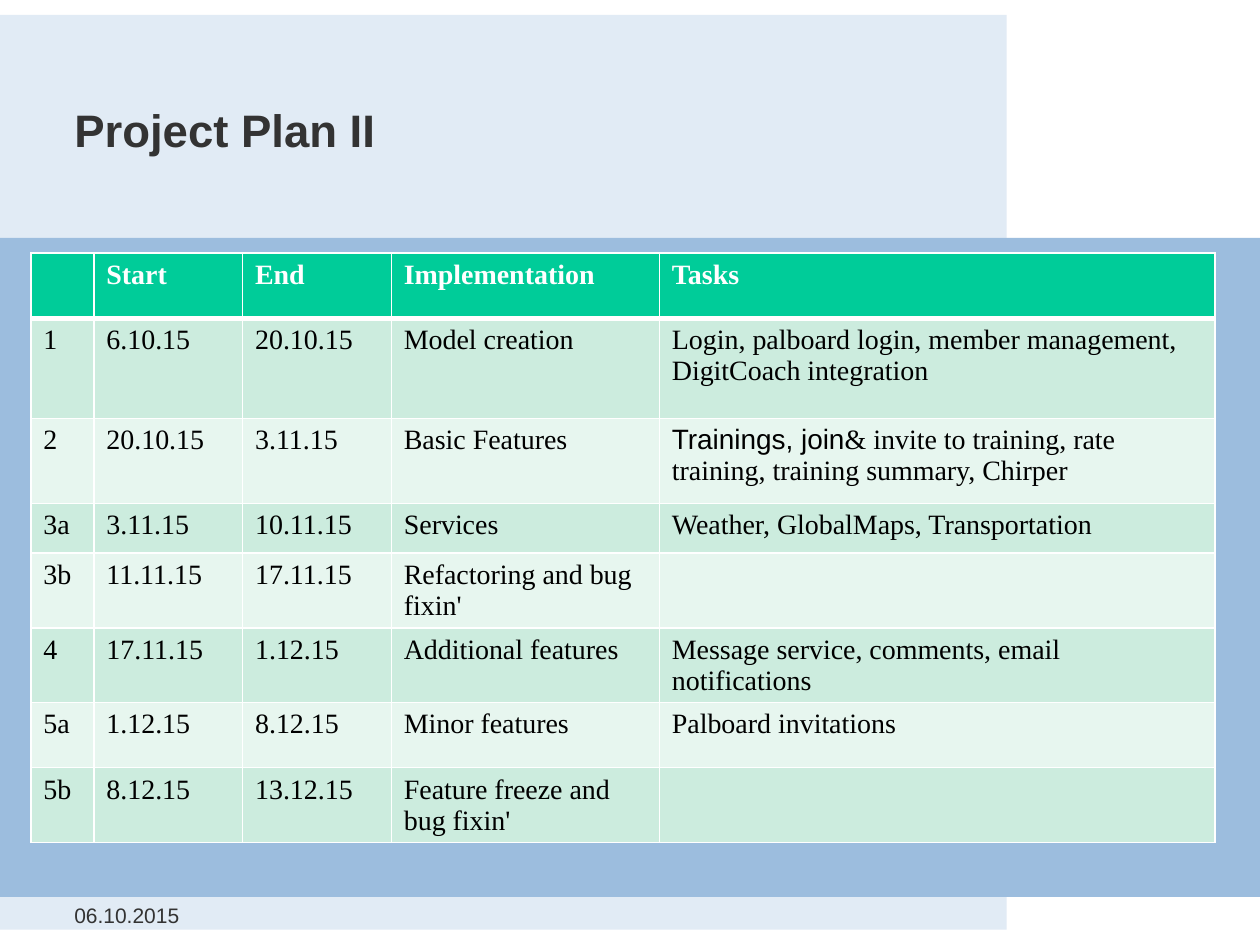
from dataclasses import dataclass

from lxml import etree
from pptx import Presentation
from pptx.dml.color import RGBColor
from pptx.enum import shapes, text
from pptx.oxml import ns
from pptx.util import Pt

SERIF, SANS = "Times New Roman", "Arial"
WHITE, BLACK, CHARCOAL = "FFFFFF", "000000", "333333"
HEADER_GREEN, ROW_GREENS = "00CC99", ("CCECDE", "E7F6EF")


@dataclass(frozen=True)
class Band:
    left: float
    top: float
    width: float
    height: float
    fill: str


@dataclass(frozen=True)
class Run:
    words: str
    size: float = 16
    font: str = SERIF
    color: str = BLACK
    bold: bool = False


@dataclass(frozen=True)
class Phase:
    height: float
    number: str
    start: str
    end: str
    implementation: str
    tasks: tuple[Run, ...] = ()


def rgb(value: str) -> RGBColor:
    return RGBColor.from_string(value)


def add_run(paragraph, content: Run) -> None:
    run = paragraph.add_run()
    run.text = content.words
    run.font.size = Pt(content.size)
    run.font.name = content.font
    run.font.bold = content.bold
    run.font.color.rgb = rgb(content.color)


def add_band(slide, band: Band) -> None:
    shape = slide.shapes.add_shape(
        shapes.MSO_SHAPE.RECTANGLE,
        Pt(band.left), Pt(band.top), Pt(band.width), Pt(band.height))
    shape.shadow.inherit = False
    shape.fill.solid()
    shape.fill.fore_color.rgb = rgb(band.fill)
    shape.line.fill.background()


def set_line(shape, content: Run, spacing: float = 1.0) -> None:
    frame = shape.text_frame
    frame.margin_left = frame.margin_right = 0
    frame.margin_top = frame.margin_bottom = 0
    frame.word_wrap = True
    frame.auto_size = text.MSO_AUTO_SIZE.NONE
    frame.vertical_anchor = text.MSO_ANCHOR.TOP
    paragraph = frame.paragraphs[0]
    paragraph.alignment = text.PP_ALIGN.LEFT
    paragraph.line_spacing = spacing
    add_run(paragraph, content)


def set_borders(cell, top: float, bottom: float) -> None:
    properties = cell._tc.get_or_add_tcPr()
    widths = {"lnL": 1, "lnR": 1, "lnT": top, "lnB": bottom}
    for position, (side, width) in enumerate(widths.items()):
        line = etree.Element(ns.qn(f"a:{side}"), w=str(Pt(width)))
        fill = etree.SubElement(line, ns.qn("a:solidFill"))
        etree.SubElement(fill, ns.qn("a:srgbClr"), val=WHITE)
        properties.insert(position, line)


def fill_row(table, index: int, height: float, cells: list[tuple[Run, ...]]) -> None:
    table.rows[index].height = Pt(height)
    for column, runs in enumerate(cells):
        cell = table.cell(index, column)
        cell.fill.solid()
        cell.fill.fore_color.rgb = rgb(
            HEADER_GREEN if index == 0 else ROW_GREENS[(index - 1) % 2])
        set_borders(cell, 3 if index == 1 else 1, 3 if index == 0 else 1)
        for run in runs:
            add_run(cell.text_frame.paragraphs[0], run)


BANDS = [
    Band(0, 8.6, 575.3, 522.7, "E1EBF5"),
    Band(0, 136, 720, 376.6, "9CBDDE"),
]
COLUMN_WIDTHS = [36, 85, 85, 153.2, 317.5]
HEADER_HEIGHT = 37.2
HEADINGS = ["", "Start", "End", "Implementation", "Tasks"]
PHASES = [
    Phase(57.2, "1", "6.10.15", "20.10.15", "Model creation",
          (Run("Login, palboard login, member management, DigitCoach integration "),)),
    Phase(48.7, "2", "20.10.15", "3.11.15", "Basic Features",
          (Run("Trainings, join", font=SANS),
           Run("& invite to training, rate training, training summary, Chirper"))),
    Phase(28.2, "3a", "3.11.15", "10.11.15", "Services",
          (Run("Weather, GlobalMaps, Transportation"),)),
    Phase(37.2, "3b", "11.11.15", "17.11.15", "Refactoring and bug fixin'"),
    Phase(37.2, "4", "17.11.15", "1.12.15", "Additional features",
          (Run("Message service, comments, email notifications"),)),
    Phase(37.2, "5a", "1.12.15", "8.12.15", "Minor features",
          (Run("Palboard invitations"),)),
    Phase(37.2, "5b", "8.12.15", "13.12.15", "Feature freeze and bug fixin'"),
]

deck = Presentation()
deck.slide_width, deck.slide_height = Pt(720), Pt(540)
slide = deck.slides.add_slide(deck.slide_layouts[5])

for band in BANDS:
    add_band(slide, band)

title = slide.shapes.title
title.left, title.top, title.width, title.height = Pt(42.5), Pt(62), Pt(521.3), Pt(64)
set_line(title, Run("Project Plan II", 26, SANS, CHARCOAL, True), 0.9)
title.element.getparent().append(title.element)

date = slide.shapes.add_textbox(Pt(42.5), Pt(515.5), Pt(299.5), Pt(14.4))
set_line(date, Run("06.10.2015", 12, SANS, CHARCOAL))

plan = slide.shapes.add_table(
    len(PHASES) + 1, len(COLUMN_WIDTHS), Pt(17.6), Pt(144.7),
    Pt(sum(COLUMN_WIDTHS)),
    Pt(HEADER_HEIGHT + sum(phase.height for phase in PHASES))).table
for column, width in zip(plan.columns, COLUMN_WIDTHS):
    column.width = Pt(width)

fill_row(plan, 0, HEADER_HEIGHT, [
    (Run(heading, color=WHITE, bold=True),) if heading else ()
    for heading in HEADINGS])
for index, phase in enumerate(PHASES, start=1):
    labels = (phase.number, phase.start, phase.end, phase.implementation)
    fill_row(plan, index, phase.height,
             [(Run(label),) for label in labels] + [phase.tasks])

deck.save("out.pptx")
